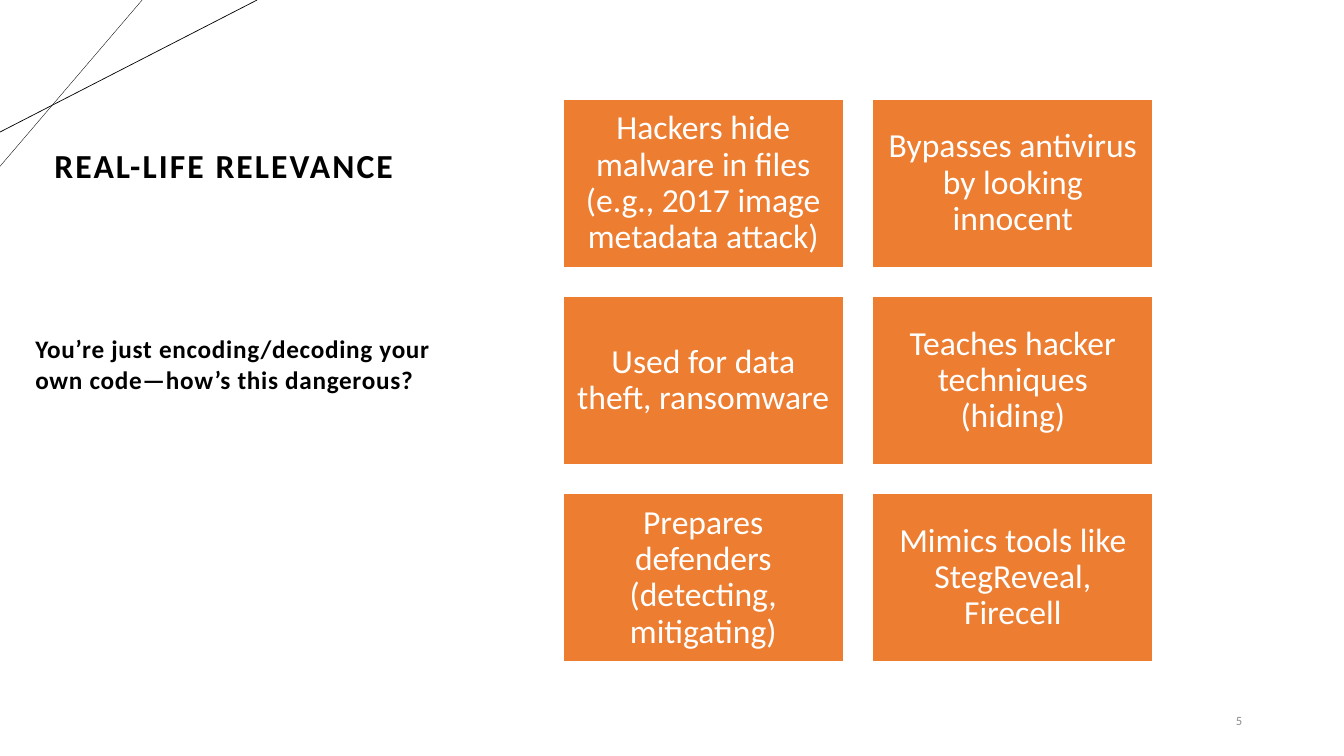
from pptx import Presentation
from pptx.dml.color import RGBColor
from pptx.enum import shapes, text
from pptx.oxml import ns, xmlchemy
from pptx.util import Inches, Pt

CARDS = [
    "Hackers hide malware in files (e.g., 2017 image metadata attack)",
    "Bypasses antivirus by looking innocent",
    "Used for data theft, ransomware",
    "Teaches hacker techniques (hiding)",
    "Prepares defenders (detecting, mitigating)",
    "Mimics tools like StegReveal, Firecell",
]


def paint(color, tone):
    """Set a colour format to a hex tone."""
    color.rgb = RGBColor.from_string(tone)


def place(shape, box):
    """Move a shape to a box given in inches."""
    shape.left, shape.top, shape.width, shape.height = map(Inches, box)


def write(shape, words, size, tone, align, anchor, bold=False, track=0):
    """Write one formatted run in a shape and return its paragraph."""
    frame = shape.text_frame
    frame.word_wrap = True
    frame.auto_size = text.MSO_AUTO_SIZE.NONE
    frame.vertical_anchor = anchor
    para = frame.paragraphs[0]
    para.alignment = align
    run = para.add_run()
    run.text = words
    font = run.font
    font.name, font.size, font.bold = "Calibri", Pt(size), bold
    paint(font.color, tone)
    if track:
        run._r.get_or_add_rPr().set("spc", str(track))
    return para


def add_rays(slide, box):
    """Draw the two thin lines that cross in the corner."""
    left, top, width, height = box
    for across, down, weight in ((1.41, height, 0.25), (width, 1.31, 0.5)):
        ray = slide.shapes.add_connector(
            shapes.MSO_CONNECTOR.STRAIGHT,
            Inches(left + across), Inches(top), Inches(left), Inches(top + down))
        ray.line.width = Pt(weight)
        paint(ray.line.color, "000000")
        ray._element.spPr.append(xmlchemy.OxmlElement("a:effectLst"))


def add_title(slide, box):
    """Fill the title placeholder."""
    title = slide.shapes.title
    place(title, box)
    para = write(title, "REAL-LIFE RELEVANCE", 24, "000000", text.PP_ALIGN.LEFT,
                 text.MSO_ANCHOR.TOP, True, 150)
    para.line_spacing = 0.9
    title.text_frame.margin_top = Inches(0.5)


def add_body(slide, box):
    """Fill the body placeholder with the unbulleted question."""
    body = slide.placeholders[1]
    place(body, box)
    para = write(body, "You’re just encoding/decoding your own code—how’s this dangerous?",
                 18, "000000", text.PP_ALIGN.LEFT, text.MSO_ANCHOR.TOP, True, 50)
    body.text_frame.margin_top = 0
    para.space_before = Pt(10)
    props = para._p.get_or_add_pPr()
    props.set("marL", "0")
    props.set("indent", "0")
    props.append(props.makeelement(ns.qn("a:buNone"), {}))


def add_cards(slide, box, cols=2, gap=0.28):
    """Lay out the cards row by row in an even grid."""
    left, top, width, height = box
    rows = len(CARDS) // cols
    wide = (width - gap * (cols - 1)) / cols
    high = (height - gap * (rows - 1)) / rows
    for i, words in enumerate(CARDS):
        row, col = divmod(i, cols)
        spot = (left + col * (wide + gap), top + row * (high + gap), wide, high)
        card = slide.shapes.add_shape(shapes.MSO_SHAPE.RECTANGLE, *map(Inches, spot))
        card.shadow.inherit = False
        card.fill.solid()
        paint(card.fill.fore_color, "ED7D31")
        paint(card.line.color, "FFFFFF")
        card.line.width = Pt(1.5)
        para = write(card, words, 24, "FFFFFF", text.PP_ALIGN.CENTER, text.MSO_ANCHOR.MIDDLE)
        para.line_spacing = 0.9
        frame = card.text_frame
        frame.margin_left = frame.margin_right = Inches(0.1)
        frame.margin_top = frame.margin_bottom = Inches(0.1)


def add_number(slide, box):
    """Add the page number."""
    label = slide.shapes.add_textbox(*map(Inches, box))
    para = write(label, "5", 9, "8C8C8C", text.PP_ALIGN.RIGHT, text.MSO_ANCHOR.MIDDLE)
    para.space_after = Pt(6)


def main():
    """Build and save the slide."""
    deck = Presentation()
    deck.slide_width, deck.slide_height = Inches(13.33), Inches(7.5)
    slide = deck.slides.add_slide(deck.slide_layouts[1])
    add_rays(slide, (0, 0, 2.55, 1.65))
    add_title(slide, (0.44, 0.98, 3.97, 2.1))
    add_body(slide, (0.25, 3.31, 4.64, 3.54))
    add_number(slide, (11.34, 6.95, 1.08, 0.4))
    add_cards(slide, (5.58, 0.98, 5.86, 5.59))
    deck.save("out.pptx")


if __name__ == "__main__":
    main()
